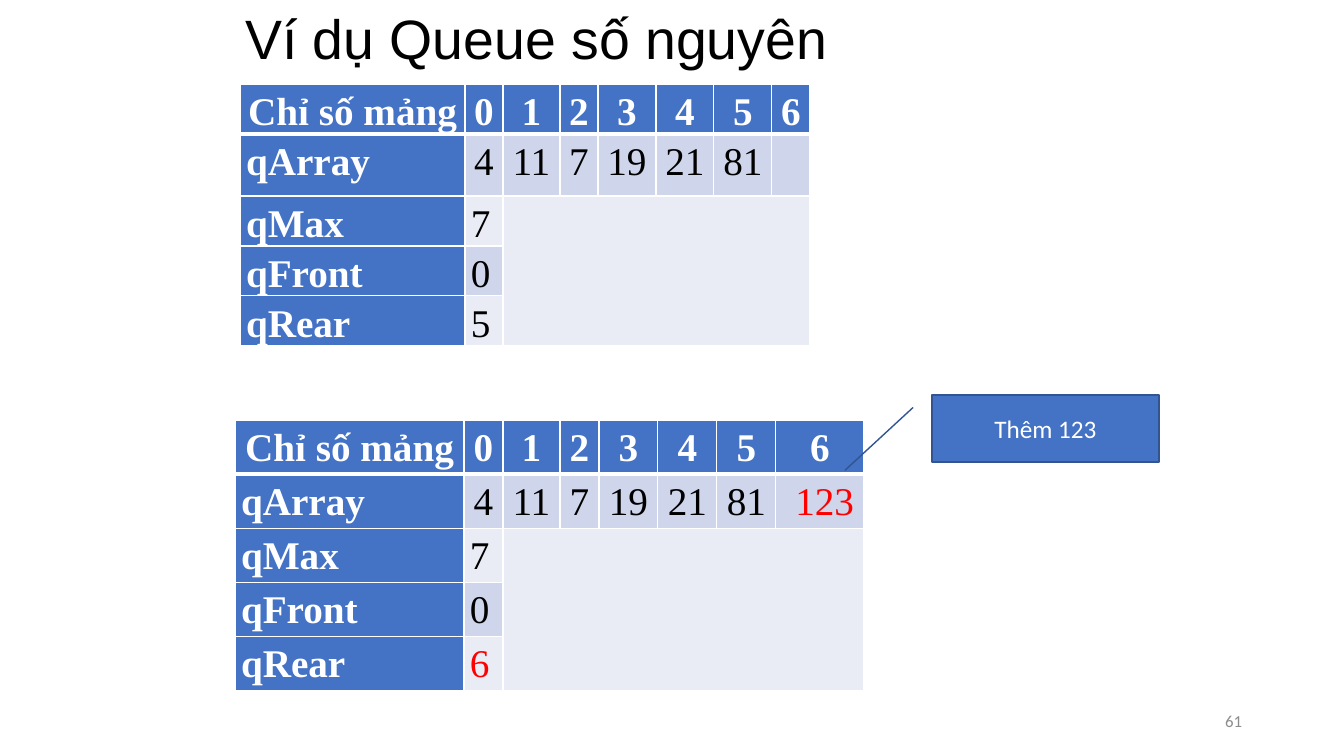
from lxml import etree
from pptx import Presentation
from pptx.dml.color import RGBColor
from pptx.enum.shapes import MSO_SHAPE
from pptx.enum.text import MSO_ANCHOR, MSO_AUTO_SIZE, PP_ALIGN
from pptx.oxml.ns import qn
from pptx.util import Pt

EMU_PER_PIXEL = 914400 / 100.8
CALLOUT = MSO_SHAPE.LINE_CALLOUT_1
MIDDLE = MSO_ANCHOR.MIDDLE
NO_AUTOFIT = MSO_AUTO_SIZE.NONE
LEFT, CENTER, RIGHT, JUSTIFY = PP_ALIGN.LEFT, PP_ALIGN.CENTER, PP_ALIGN.RIGHT, PP_ALIGN.JUSTIFY
TITLE_ONLY = 5
COLORS = {
    "header": "4472C4",
    "outline": "325491",
    "band": "CFD5EA",
    "plain": "E9EBF5",
    "white": "FFFFFF",
    "black": "000000",
    "changed": "FF0000",
    "number": "8C8C8C",
}
INDEX_ROW = ["Chỉ số mảng", "0", "1", "2", "3", "4", "5", "6"]


def px(pixels):
    """Turn pixels into EMU."""
    return round(pixels * EMU_PER_PIXEL)


def color(name):
    """Look up a named colour."""
    return RGBColor.from_string(COLORS[name])


def place(shape, left, top, width, height):
    """Move and size a shape."""
    shape.left, shape.top, shape.width, shape.height = map(px, (left, top, width, height))


def write(frame, text, font, size, ink, align, bold=False, spacing=None):
    """Write one formatted paragraph into a text frame."""
    para = frame.paragraphs[0]
    para.text = text
    para.alignment = align
    para.line_spacing = spacing
    para.font.name = font
    para.font.size = Pt(size)
    para.font.bold = bold
    para.font.color.rgb = color(ink)


def add_title(page, text):
    """Fill and place the title placeholder."""
    title = page.shapes.title
    place(title, 235, 8, 869, 67)
    frame = title.text_frame
    frame.auto_size = NO_AUTOFIT
    frame.vertical_anchor = MIDDLE
    write(frame, text, "Arial", 39.6, "black", LEFT, spacing=0.9)


def set_borders(cell, row):
    """Draw white cell borders, thick between header and body."""
    thick_side = {0: "B", 1: "T"}.get(row)
    properties = cell._tc.get_or_add_tcPr()
    for side in "LRTB":
        width = Pt(3 if side == thick_side else 1)
        line = etree.SubElement(properties, qn(f"a:ln{side}"), w=str(width))
        fill = etree.SubElement(line, qn("a:solidFill"))
        etree.SubElement(fill, qn("a:srgbClr"), val=COLORS["white"])


def style_cell(cell, row, column, text, changed):
    """Format one cell of a queue table."""
    heading = row == 0 or column == 0
    set_borders(cell, row)
    cell.fill.solid()
    cell.fill.fore_color.rgb = color("header" if heading else "band" if row % 2 else "plain")
    cell.margin_left = cell.margin_right = px(6)
    cell.margin_top = cell.margin_bottom = 0
    if text:
        ink = "white" if heading else "changed" if changed else "black"
        centered = row == 0 or (row == 1 and column > 0)
        write(cell.text_frame, text, "Times New Roman", 28, ink,
              CENTER if centered else JUSTIFY, heading, 1.15)


def add_queue_table(page, left, top, widths, heights, values, rear, changed=()):
    """Add a table with the state of a queue."""
    rows = [INDEX_ROW, ["qArray", *values], ["qMax", "7"], ["qFront", "0"], ["qRear", rear]]
    table = page.shapes.add_table(len(rows), len(widths), px(left), px(top),
                                  px(sum(widths)), px(sum(heights))).table
    for column, width in zip(table.columns, widths):
        column.width = px(width)
    for row, height in zip(table.rows, heights):
        row.height = px(height)
    for row, texts in enumerate(rows):
        for column in range(len(widths)):
            text = texts[column] if column < len(texts) else ""
            style_cell(table.cell(row, column), row, column, text, (row, column) in changed)
    table.cell(2, 2).merge(table.cell(4, 7))


def add_page_number(page, text):
    """Add the page number at the bottom right."""
    box = page.shapes.add_textbox(px(950), px(701), px(302), px(40))
    box.text_frame.word_wrap = True
    box.text_frame.vertical_anchor = MIDDLE
    write(box.text_frame, text, "Calibri", 12, "number", RIGHT)


def add_callout(page, text):
    """Add the callout that points at the new element."""
    callout = page.shapes.add_shape(CALLOUT, px(932), px(395), px(227), px(67))
    callout.shadow.inherit = False
    callout.fill.solid()
    callout.fill.fore_color.rgb = color("header")
    callout.line.color.rgb = color("outline")
    callout.line.width = Pt(1)
    callout.text_frame.word_wrap = True
    callout.text_frame.vertical_anchor = MIDDLE
    write(callout.text_frame, text, "Calibri", 18, "white", CENTER)


def main():
    """Build the slide and save it."""
    deck = Presentation()
    deck.slide_width, deck.slide_height = px(1344), px(756)
    page = deck.slides.add_slide(deck.slide_layouts[TITLE_ONLY])
    queue = ["4", "11", "7", "19", "21", "81"]
    add_title(page, "Ví dụ Queue số nguyên")
    add_queue_table(page, 240, 84, [225, 38, 57, 38, 58, 58, 58, 38],
                    [50, 62, 50, 50, 50], queue, "5")
    add_page_number(page, "61")
    add_queue_table(page, 235, 420, [229, 39, 57, 39, 59, 59, 59, 88],
                    [50] * 5, [*queue, "\u00a0123"], "6", {(1, 7), (4, 1)})
    add_callout(page, "Thêm 123")
    deck.save("out.pptx")


main()
